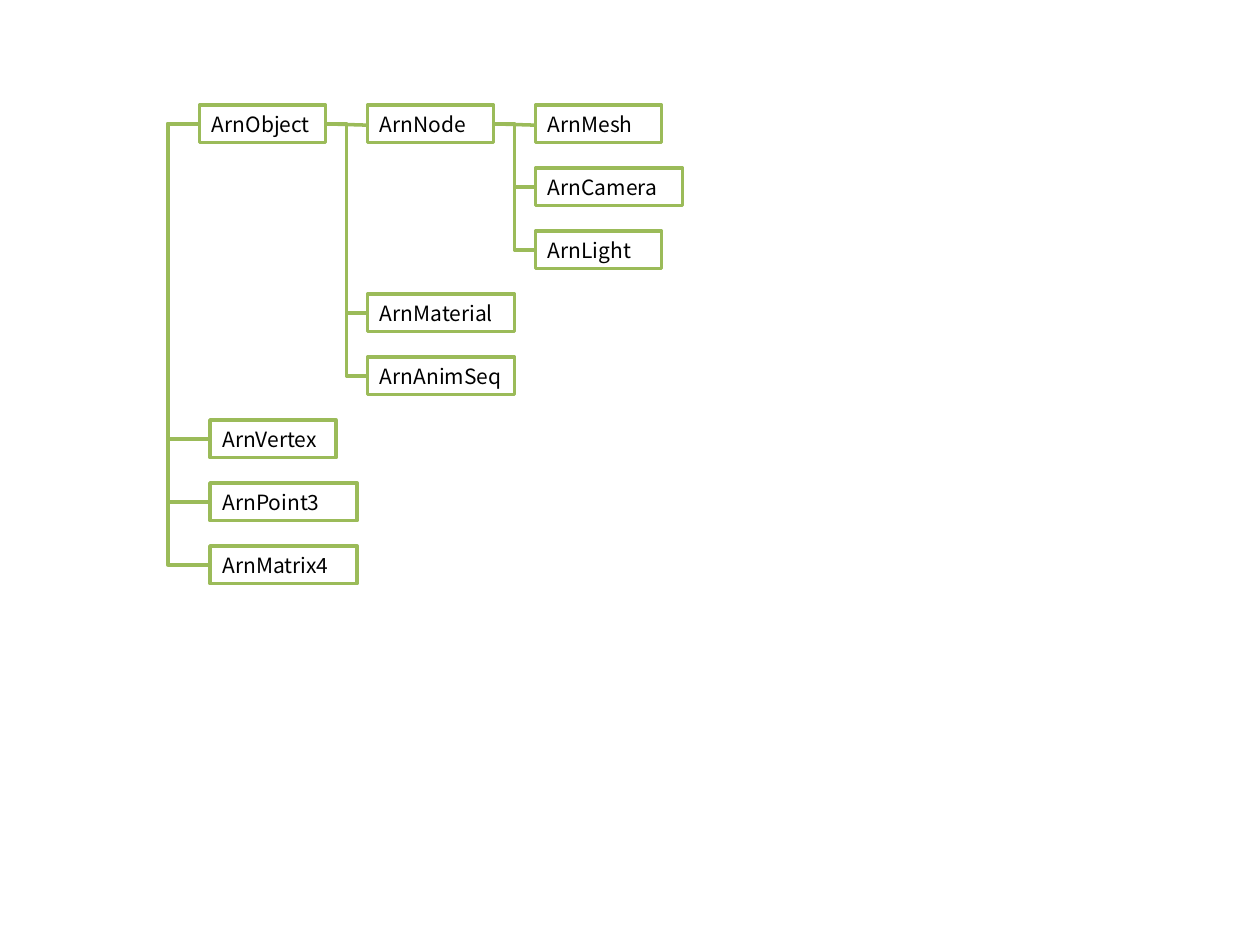
import pptx
import pptx.dml.color
import pptx.enum.shapes
import pptx.enum.text
import pptx.oxml.ns
import pptx.util
from dataclasses import dataclass
from lxml import etree

Inches = pptx.util.Inches
LEFT_SITE, RIGHT_SITE = 1, 3


@dataclass(frozen=True)
class Theme:
    line: str = "9BBB59"
    fill: str = "FFFFFF"
    text: str = "000000"
    font: str = "Noto Sans CJK KR"
    size: int = 12
    line_width: int = 2


THEME = Theme()

# Layout in grid steps of a twelfth of an inch
TOP, ROW_STEP = 10, 6
NARROW, WIDE = 12, 14
ROOT_X, VALUE_X, NODE_X, LEAF_X = 19, 20, 35, 51
BOX_HEIGHT = Inches(0.3)
STRAIGHT_DROP = Inches(0.01)

# Class name, left edge, row, width
CLASSES = [
    ("ArnObject", ROOT_X, 0, NARROW),
    ("ArnNode", NODE_X, 0, NARROW),
    ("ArnMesh", LEAF_X, 0, NARROW),
    ("ArnCamera", LEAF_X, 1, WIDE),
    ("ArnLight", LEAF_X, 2, NARROW),
    ("ArnMaterial", NODE_X, 3, WIDE),
    ("ArnAnimSeq", NODE_X, 4, WIDE),
    ("ArnVertex", VALUE_X, 5, NARROW),
    ("ArnPoint3", VALUE_X, 6, WIDE),
    ("ArnMatrix4", VALUE_X, 7, WIDE),
]

# Parent, side it leaves from, x of the vertical trunk, children
BRANCHES = [
    ("ArnObject", RIGHT_SITE, 33, ["ArnNode", "ArnMaterial", "ArnAnimSeq"]),
    ("ArnNode", RIGHT_SITE, 49, ["ArnMesh", "ArnCamera", "ArnLight"]),
    ("ArnObject", LEFT_SITE, 16, ["ArnVertex", "ArnPoint3", "ArnMatrix4"]),
]


def grid(steps):
    return Inches(steps / 12)


def rgb(value):
    return pptx.dml.color.RGBColor.from_string(value)


def style_line(line):
    line.color.rgb = rgb(THEME.line)
    line.width = pptx.util.Pt(THEME.line_width)


def add_class_box(slide, name, left, row, width):
    sp = slide.shapes.add_shape(
        pptx.enum.shapes.MSO_SHAPE.RECTANGLE, grid(left),
        grid(TOP + row * ROW_STEP), grid(width), BOX_HEIGHT)
    sp.shadow.inherit = False
    sp.fill.solid()
    sp.fill.fore_color.rgb = rgb(THEME.fill)
    style_line(sp.line)

    tf = sp.text_frame
    tf.word_wrap = True
    tf.margin_right = 0
    tf.vertical_anchor = pptx.enum.text.MSO_ANCHOR.MIDDLE
    p = tf.paragraphs[0]
    p.alignment = pptx.enum.text.PP_ALIGN.LEFT
    r = p.add_run()
    r.text = name
    r.font.name = THEME.font
    r.font.size = pptx.util.Pt(THEME.size)
    r.font.color.rgb = rgb(THEME.text)
    return sp


def add_link(slide, parent, site, trunk_x, child):
    kinds = pptx.enum.shapes.MSO_CONNECTOR
    straight = parent.top == child.top
    cxn = slide.shapes.add_connector(
        kinds.STRAIGHT if straight else kinds.ELBOW, 0, 0, 0, 0)
    cxn.begin_connect(parent, site)
    cxn.end_connect(child, LEFT_SITE)
    style_line(cxn.line)
    qn = pptx.oxml.ns.qn
    props = cxn._element.spPr
    etree.SubElement(props, qn("a:effectLst"))

    if straight:
        cxn.end_y += STRAIGHT_DROP
    else:
        # Place the bend on the trunk
        ratio = (grid(trunk_x) - cxn.begin_x) / (cxn.end_x - cxn.begin_x)
        guides = props.find(qn("a:prstGeom")).find(qn("a:avLst"))
        etree.SubElement(guides, qn("a:gd"), name="adj1",
                         fmla=f"val {round(ratio * 100000)}")


def main():
    prs = pptx.Presentation()
    prs.slide_width, prs.slide_height = Inches(10), Inches(7.5)
    slide = prs.slides.add_slide(prs.slide_layouts[6])

    # Class boxes
    boxes = {name: add_class_box(slide, name, left, row, width)
             for name, left, row, width in CLASSES}

    # Inheritance lines
    for parent, site, trunk_x, children in BRANCHES:
        for child in children:
            add_link(slide, boxes[parent], site, trunk_x, boxes[child])

    prs.save("out.pptx")


main()
